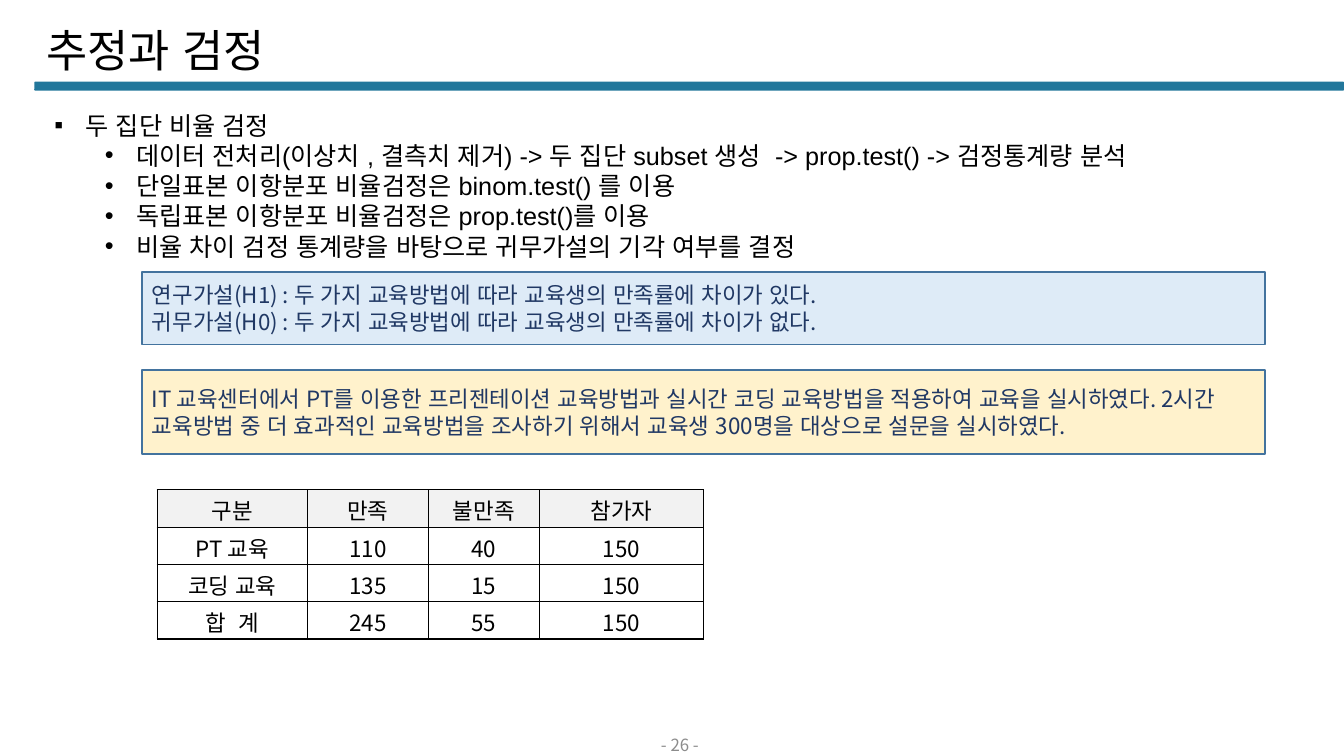
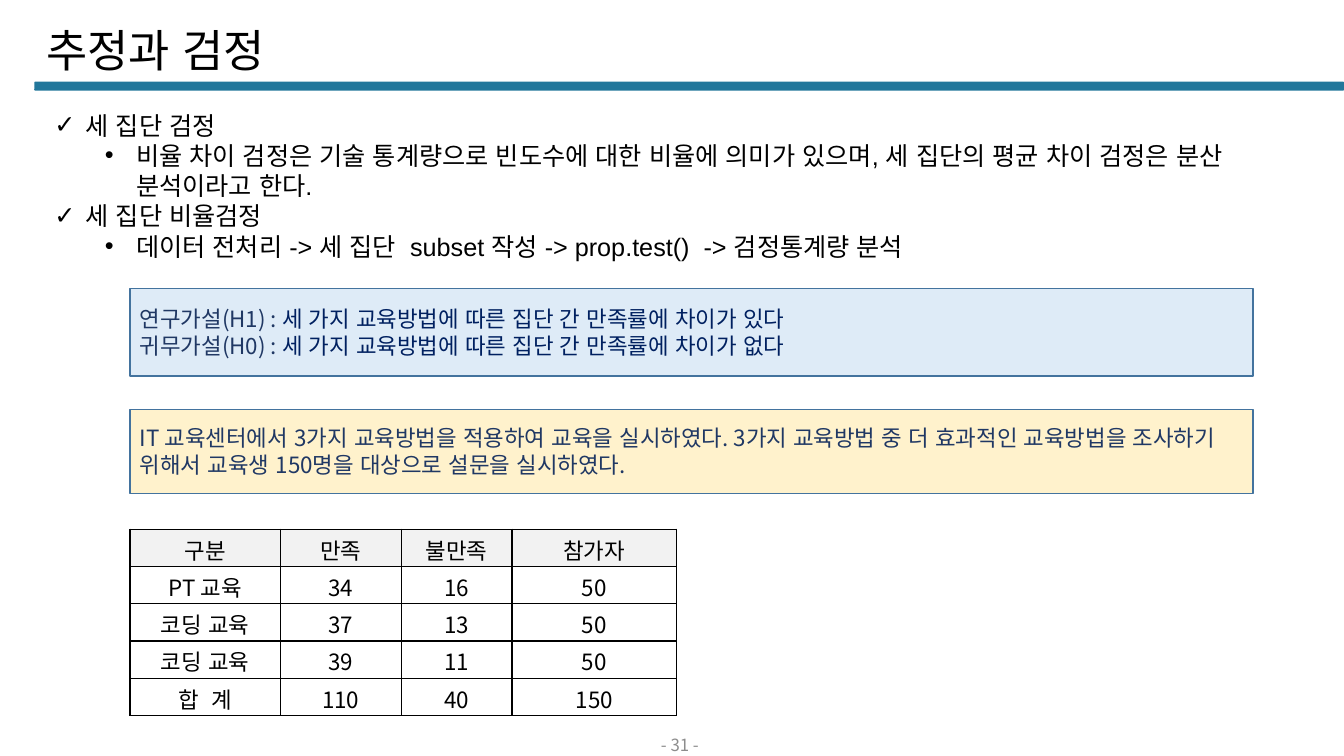
from lxml.etree import SubElement
from pptx import Presentation
from pptx.dml.color import RGBColor
from pptx.enum.lang import MSO_LANGUAGE_ID
from pptx.enum.shapes import MSO_SHAPE
from pptx.enum.text import MSO_ANCHOR, MSO_AUTO_SIZE, PP_ALIGN
from pptx.oxml.ns import qn
from pptx.util import Inches, Pt

# Grid: 160 columns by 90 rows on a 13.33 x 7.5 inch slide
COLUMNS, ROWS = 160, 90
CELL = Inches(7.5) / ROWS

# Shared look
BLACK = RGBColor(0x00, 0x00, 0x00)
WHITE = RGBColor(0xFF, 0xFF, 0xFF)
TEAL = RGBColor(0x22, 0x77, 0x9B)
GRAY = RGBColor(0x8C, 0x8C, 0x8C)
HEADER_GRAY = RGBColor(0xF2, 0xF2, 0xF2)
PALE_BLUE = RGBColor(0xDE, 0xEB, 0xF7)
PALE_YELLOW = RGBColor(0xFF, 0xF2, 0xCC)
BOX_LINE = RGBColor(0x43, 0x73, 0x9E)
BOX_TEXT = RGBColor(0x20, 0x38, 0x64)
NAVY = RGBColor(0x00, 0x20, 0x60)
KOREAN, LATIN = "Noto Sans CJK KR", "Arial"

TITLE_AREA = (4.32, 3.72, 138, 5.28)
BODY_AREA = (5.28, 12.48, 147.36, 23.04)
BAND_AREA = (4.08, 9.72, COLUMNS - 4.08, 1.08)
NUMBER_AREA = (62.28, 87.24, 37.32, 2.76)
BOX_WIDTH = 133.68
TABLE_COLUMNS = (17.88, 14.4, 13.2, 19.56)
TABLE_ROW = 4.44
TABLE_HEADER = ("구분", "만족", "불만족", "참가자")
INDENTS = (Inches(0.31), Inches(0.81))

# Content: bullets are (level, mark, text); boxes are (top, height, fill, paragraphs of runs)
SLIDES = (
    {
        "number": 26,
        "bullets": (
            (0, "▪", "두 집단 비율 검정"),
            (1, "•", "데이터 전처리(이상치 , 결측치 제거) -> 두 집단 subset 생성  -> prop.test() -> 검정통계량 분석"),
            (1, "•", "단일표본 이항분포 비율검정은 binom.test() 를 이용"),
            (1, "•", "독립표본 이항분포 비율검정은 prop.test()를 이용"),
            (1, "•", "비율 차이 검정 통계량을 바탕으로 귀무가설의 기각 여부를 결정"),
        ),
        "box_left": 16.92,
        "boxes": (
            (32.4, 8.64, PALE_BLUE, (
                (("연구가설(H1) : 두 가지 교육방법에 따라 교육생의 만족률에 차이가 있다.", KOREAN, BOX_TEXT),),
                (("귀무가설(H0) : 두 가지 교육방법에 따라 교육생의 만족률에 차이가 없다.", KOREAN, BOX_TEXT),),
            )),
            (44.04, 10, PALE_YELLOW, (
                (("IT 교육센터에서 PT를 이용한 프리젠테이션 교육방법과 실시간 코딩 교육방법을 적용하여 "
                  "교육을 실시하였다. 2시간 교육방법 중 더 효과적인 교육방법을 조사하기 위해서 "
                  "교육생 300명을 대상으로 설문을 실시하였다.", KOREAN, BOX_TEXT),),
            )),
        ),
        "table_at": (18.72, 58.32),
        "rows": (
            ("PT 교육", 110, 40, 150),
            ("코딩 교육", 135, 15, 150),
            ("합  계", 245, 55, 150),
        ),
    },
    {
        "number": 31,
        "bullets": (
            (0, "✓", "세 집단 검정"),
            (1, "•", "비율 차이 검정은 기술 통계량으로 빈도수에 대한 비율에 의미가 있으며, "
                     "세 집단의 평균 차이 검정은 분산 분석이라고 한다."),
            (0, "✓", "세 집단 비율검정"),
            (1, "•", "데이터 전처리 -> 세 집단  subset 작성 -> prop.test()  -> 검정통계량 분석"),
        ),
        "box_left": 15.48,
        "boxes": (
            (34.32, 10.44, PALE_BLUE, (
                (("연구가설(H1) : ", KOREAN, BOX_TEXT),
                 ("세 가지 교육방법에 따른 집단 간 만족률에 차이가 있다", LATIN, NAVY)),
                (("귀무가설(H0) : ", KOREAN, BOX_TEXT),
                 ("세 가지 교육방법에 따른 집단 간 만족률에 차이가 없다", LATIN, NAVY)),
            )),
            (48.72, 10, PALE_YELLOW, (
                (("IT 교육센터에서 3가지 교육방법을 적용하여 교육을 실시하였다. 3가지 교육방법 중 "
                  "더 효과적인 교육방법을 조사하기 위해서 교육생 150명을 대상으로 설문을 "
                  "실시하였다.", KOREAN, BOX_TEXT),),
            )),
        ),
        "table_at": (15.48, 63),
        "rows": (
            ("PT 교육", 34, 16, 50),
            ("코딩 교육", 37, 13, 50),
            ("코딩 교육", 39, 11, 50),
            ("합  계", 110, 40, 150),
        ),
    },
)


def grid(*cells):
    """Turn grid columns and rows into slide lengths."""
    return [round(cell * CELL) for cell in cells]


def add_run(paragraph, text, size, color=BLACK, font=KOREAN):
    run = paragraph.add_run()
    run.text = text
    run.font.name = font
    run.font.size = Pt(size)
    run.font.color.rgb = color
    run.font.language_id = MSO_LANGUAGE_ID.KOREAN
    SubElement(run.font._element, qn("a:ea"), typeface=KOREAN)


def paragraphs_for(text_frame, items):
    """Yield a paragraph with each item, starting with the empty first one."""
    for index, item in enumerate(items):
        yield text_frame.add_paragraph() if index else text_frame.paragraphs[0], item


def prepare_layout(layout, slide):
    """Place the title and body, and move the title band to the layout."""
    for placeholder, area in zip(layout.placeholders, (TITLE_AREA, BODY_AREA)):
        placeholder.left, placeholder.top, placeholder.width, placeholder.height = grid(*area)
    band = slide.shapes.add_shape(MSO_SHAPE.ROUNDED_RECTANGLE, *grid(*BAND_AREA))
    band.adjustments[0] = 0.13
    band.shadow.inherit = False
    band.fill.solid()
    band.fill.fore_color.rgb = TEAL
    band.line.fill.background()
    layout.shapes.element.append(band.element)


def fill_title(slide, text):
    text_frame = slide.shapes.title.text_frame
    text_frame.auto_size = MSO_AUTO_SIZE.NONE
    text_frame.vertical_anchor = MSO_ANCHOR.MIDDLE
    paragraph = text_frame.paragraphs[0]
    paragraph.alignment = PP_ALIGN.LEFT
    paragraph.line_spacing = 0.9
    add_run(paragraph, text, 32)


def fill_bullets(slide, bullets):
    text_frame = slide.placeholders[1].text_frame
    text_frame.auto_size = MSO_AUTO_SIZE.NONE
    for paragraph, (level, mark, text) in paragraphs_for(text_frame, bullets):
        paragraph.level = level
        paragraph.space_before = Pt(0)
        properties = paragraph._p.get_or_add_pPr()
        properties.set("marL", str(INDENTS[level]))
        properties.set("indent", str(-INDENTS[0]))
        SubElement(properties, qn("a:buFont"), typeface=LATIN)
        SubElement(properties, qn("a:buChar"), char=mark)
        add_run(paragraph, text, 18, font=LATIN)


def add_box(slide, left, top, height, fill, content):
    box = slide.shapes.add_shape(MSO_SHAPE.RECTANGLE, *grid(left, top, BOX_WIDTH, height))
    box.shadow.inherit = False
    box.fill.solid()
    box.fill.fore_color.rgb = fill
    box.line.color.rgb = BOX_LINE
    box.line.width = Pt(1)
    box.text_frame.word_wrap = True
    box.text_frame.vertical_anchor = MSO_ANCHOR.MIDDLE
    for paragraph, runs in paragraphs_for(box.text_frame, content):
        paragraph.alignment = PP_ALIGN.LEFT
        for text, font, color in runs:
            add_run(paragraph, text, 16, color, font)


def format_cell(cell, text, fill):
    properties = cell._tc.get_or_add_tcPr()
    for side in ("a:lnL", "a:lnR", "a:lnT", "a:lnB"):
        line = SubElement(properties, qn(side), w=str(Pt(1)))
        color = SubElement(SubElement(line, qn("a:solidFill")), qn("a:srgbClr"))
        color.set("val", str(BLACK))
    cell.fill.solid()
    cell.fill.fore_color.rgb = fill
    # Slim margins keep each row at its set height
    cell.margin_top, cell.margin_bottom = Inches(0.03), 0
    cell.vertical_anchor = MSO_ANCHOR.MIDDLE
    paragraph = cell.text_frame.paragraphs[0]
    paragraph.alignment = PP_ALIGN.CENTER
    paragraph.font.size = Pt(16)
    add_run(paragraph, text, 16)


def add_survey_table(slide, position, body_rows):
    rows = (TABLE_HEADER, *body_rows)
    area = grid(*position, sum(TABLE_COLUMNS), TABLE_ROW * len(rows))
    table = slide.shapes.add_table(len(rows), len(TABLE_COLUMNS), *area).table
    table.first_row = table.horz_banding = False
    for column, width in zip(table.columns, grid(*TABLE_COLUMNS)):
        column.width = width
    for row_index, values in enumerate(rows):
        table.rows[row_index].height = grid(TABLE_ROW)[0]
        for column_index, value in enumerate(values):
            fill = WHITE if row_index else HEADER_GRAY
            format_cell(table.cell(row_index, column_index), str(value), fill)


def add_page_number(slide, number):
    text_frame = slide.shapes.add_textbox(*grid(*NUMBER_AREA)).text_frame
    text_frame.word_wrap = True
    text_frame.vertical_anchor = MSO_ANCHOR.MIDDLE
    paragraph = text_frame.paragraphs[0]
    paragraph.alignment = PP_ALIGN.CENTER
    add_run(paragraph, f"- {number} -", 12, GRAY)


def main():
    presentation = Presentation()
    presentation.slide_width, presentation.slide_height = grid(COLUMNS, ROWS)
    layout = presentation.slide_layouts[1]
    slides = [presentation.slides.add_slide(layout) for _ in SLIDES]
    prepare_layout(layout, slides[0])
    for slide, content in zip(slides, SLIDES):
        fill_title(slide, "추정과 검정")
        fill_bullets(slide, content["bullets"])
        for box in content["boxes"]:
            add_box(slide, content["box_left"], *box)
        add_survey_table(slide, content["table_at"], content["rows"])
        add_page_number(slide, content["number"])
    presentation.save("out.pptx")


if __name__ == "__main__":
    main()
